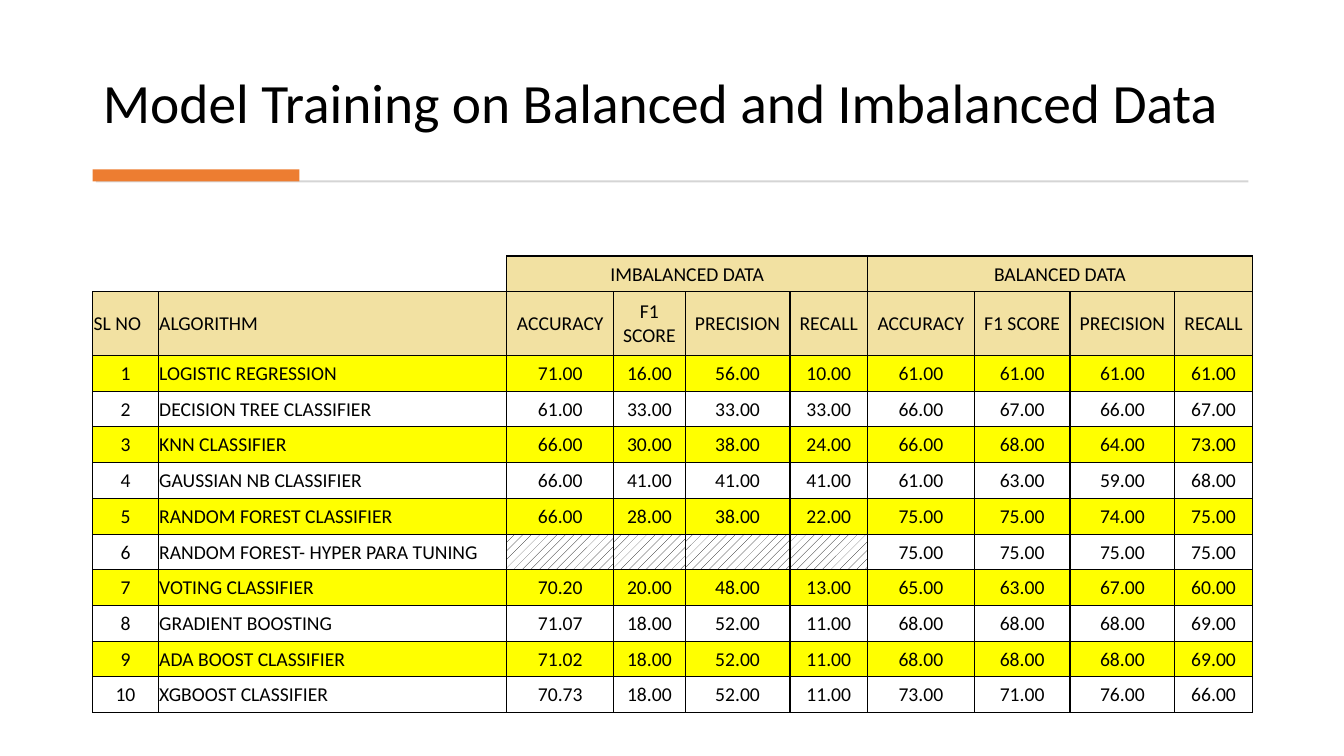
from dataclasses import dataclass

from lxml import etree
from pptx import Presentation
from pptx import util as u
from pptx.dml.color import RGBColor
from pptx.enum import dml, shapes, text
from pptx.oxml import ns


@dataclass(frozen=True)
class Theme:
    font: str = "Calibri"
    title_size: float = 39.6
    table_size: float = 14
    ink: str = "000000"
    paper: str = "FFFFFF"
    header: str = "F2E1A2"
    highlight: str = "FFFF00"
    rule: str = "D5D5D5"
    accent: str = "ED7D31"
    thick: float = 1
    thin: float = 0.5


@dataclass(frozen=True)
class Area:
    left: float
    top: float
    width: float
    height: float

    def box(self) -> tuple[int, int, int, int]:
        return (share(self.left, SLIDE_WIDTH), share(self.top, SLIDE_HEIGHT),
                share(self.width, SLIDE_WIDTH), share(self.height, SLIDE_HEIGHT))


@dataclass(frozen=True)
class Bar:
    area: Area
    color: str


@dataclass(frozen=True)
class Result:
    algorithm: str
    imbalanced: tuple[float, ...]
    balanced: tuple[float, ...]


THEME = Theme()
SLIDE_WIDTH, SLIDE_HEIGHT = u.Inches(13.33), u.Inches(7.5)
TITLE_AREA = Area(6.9, 3.73, 84.7, 14.8)
TABLE_AREA = Area(6.9, 33.87, 86.3, 60.4)
BARS = (
    Bar(Area(7.13, 23.87, 85.75, 0.27), THEME.rule),
    Bar(Area(6.9, 22.4, 15.38, 1.6), THEME.accent),
)
METRICS = ("ACCURACY", "F1 SCORE", "PRECISION", "RECALL")
COLUMN_WEIGHTS = (65, 346, 106, 71, 104, 77, 106, 95, 104, 77)
HEADER_WEIGHT = 1.78
LABEL_COLUMNS = 2
HEADER_ROWS = 2
RESULTS = (
    Result("LOGISTIC REGRESSION", (71, 16, 56, 10), (61, 61, 61, 61)),
    Result("DECISION TREE CLASSIFIER", (61, 33, 33, 33), (66, 67, 66, 67)),
    Result("KNN CLASSIFIER", (66, 30, 38, 24), (66, 68, 64, 73)),
    Result("GAUSSIAN NB CLASSIFIER", (66, 41, 41, 41), (61, 63, 59, 68)),
    Result("RANDOM FOREST CLASSIFIER", (66, 28, 38, 22), (75, 75, 74, 75)),
    Result("RANDOM FOREST- HYPER PARA TUNING", (), (75, 75, 75, 75)),
    Result("VOTING CLASSIFIER", (70.2, 20, 48, 13), (65, 63, 67, 60)),
    Result("GRADIENT BOOSTING", (71.07, 18, 52, 11), (68, 68, 68, 69)),
    Result("ADA BOOST CLASSIFIER", (71.02, 18, 52, 11), (68, 68, 68, 69)),
    Result("XGBOOST CLASSIFIER", (70.73, 18, 52, 11), (73, 71, 76, 66)),
)


def share(percent: float, whole: int) -> int:
    return round(whole * percent / 100)


def color(code: str) -> RGBColor:
    return RGBColor.from_string(code)


def style_runs(paragraph, size: float) -> None:
    for run in paragraph.runs:
        run.font.name = THEME.font
        run.font.size = u.Pt(size)
        run.font.color.rgb = color(THEME.ink)


def draw_title(slide, wording: str) -> None:
    title = slide.shapes.title
    title.left, title.top, title.width, title.height = TITLE_AREA.box()
    frame = title.text_frame
    frame.text = wording
    frame.word_wrap = True
    frame.auto_size = text.MSO_AUTO_SIZE.NONE
    frame.vertical_anchor = text.MSO_ANCHOR.BOTTOM
    heading = frame.paragraphs[0]
    heading.alignment = text.PP_ALIGN.LEFT
    heading.line_spacing = 0.9
    style_runs(heading, THEME.title_size)


def draw_bar(slide, bar: Bar) -> None:
    strip = slide.shapes.add_shape(shapes.MSO_SHAPE.RECTANGLE, *bar.area.box())
    strip.shadow.inherit = False
    strip.fill.solid()
    strip.fill.fore_color.rgb = color(bar.color)
    strip.line.fill.background()


def set_borders(cell, widths: dict[str, float]) -> None:
    properties = cell._tc.get_or_add_tcPr()
    for side in ("L", "R", "T", "B"):
        width = widths.get(side, 0)
        line = etree.SubElement(properties, ns.qn(f"a:ln{side}"), w=str(u.Pt(width)))
        if width:
            fill = etree.SubElement(line, ns.qn("a:solidFill"))
            etree.SubElement(fill, ns.qn("a:srgbClr"), val=THEME.ink)
        else:
            etree.SubElement(line, ns.qn("a:noFill"))


def border_widths(row: int, column: int, last_row: int) -> dict[str, float]:
    if row == 0 and column < LABEL_COLUMNS:
        right = THEME.thick if column == LABEL_COLUMNS - 1 else 0
        return {"R": right, "B": THEME.thick}
    top = THEME.thick if row <= HEADER_ROWS else THEME.thin
    bottom = THEME.thick if row < HEADER_ROWS or row == last_row else THEME.thin
    return {"L": THEME.thick, "R": THEME.thick, "T": top, "B": bottom}


def fill_cell(cell, row: int, column: int, wording: str) -> None:
    if row >= HEADER_ROWS and not wording:
        cell.fill.patterned()
        cell.fill.pattern = dml.MSO_PATTERN.PERCENT_20
        cell.fill.fore_color.rgb = color(THEME.ink)
        cell.fill.back_color.rgb = color(THEME.paper)
    elif row < HEADER_ROWS and (row or column >= LABEL_COLUMNS):
        cell.fill.solid()
        cell.fill.fore_color.rgb = color(THEME.header)
    elif row >= HEADER_ROWS and row % 2 == 0:
        cell.fill.solid()
        cell.fill.fore_color.rgb = color(THEME.highlight)
    else:
        cell.fill.background()


def write_cell(cell, wording: str, centred: bool) -> None:
    cell.margin_left = cell.margin_right = cell.margin_top = u.Inches(0.01)
    cell.margin_bottom = 0
    cell.vertical_anchor = text.MSO_ANCHOR.MIDDLE
    if wording:
        cell.text_frame.text = wording
        paragraph = cell.text_frame.paragraphs[0]
        paragraph.alignment = text.PP_ALIGN.CENTER if centred else text.PP_ALIGN.LEFT
        style_runs(paragraph, THEME.table_size)


def table_rows() -> list[list[str]]:
    gap = [""] * (len(METRICS) - 1)
    rows = [["", "", "IMBALANCED DATA", *gap, "BALANCED DATA", *gap],
            ["SL NO", "ALGORITHM", *METRICS, *METRICS]]
    for number, result in enumerate(RESULTS, 1):
        scores = [[f"{score:.2f}" for score in group] or [""] * len(METRICS)
                  for group in (result.imbalanced, result.balanced)]
        rows.append([str(number), result.algorithm, *scores[0], *scores[1]])
    return rows


def draw_results(slide) -> None:
    rows = table_rows()
    left, top, width, height = TABLE_AREA.box()
    results = slide.shapes.add_table(
        len(rows), len(COLUMN_WEIGHTS), left, top, width, height).table
    results.first_row = results.horz_banding = False
    for column, weight in zip(results.columns, COLUMN_WEIGHTS):
        column.width = round(width * weight / sum(COLUMN_WEIGHTS))
    row_weights = [HEADER_WEIGHT if row == 1 else 1 for row in range(len(rows))]
    for line, weight in zip(results.rows, row_weights):
        line.height = round(height * weight / sum(row_weights))
    for row, wordings in enumerate(rows):
        for column, wording in enumerate(wordings):
            cell = results.cell(row, column)
            set_borders(cell, border_widths(row, column, len(rows) - 1))
            fill_cell(cell, row, column, wording)
            centred = column >= LABEL_COLUMNS or (row >= HEADER_ROWS and column == 0)
            write_cell(cell, wording, centred)
    for first in range(LABEL_COLUMNS, len(COLUMN_WEIGHTS), len(METRICS)):
        results.cell(0, first).merge(results.cell(0, first + len(METRICS) - 1))


def main() -> None:
    deck = Presentation()
    deck.slide_width, deck.slide_height = SLIDE_WIDTH, SLIDE_HEIGHT
    slide = deck.slides.add_slide(deck.slide_layouts[5])
    draw_title(slide, "Model Training on Balanced and Imbalanced Data")
    for bar in BARS:
        draw_bar(slide, bar)
    draw_results(slide)
    deck.save("out.pptx")


if __name__ == "__main__":
    main()
